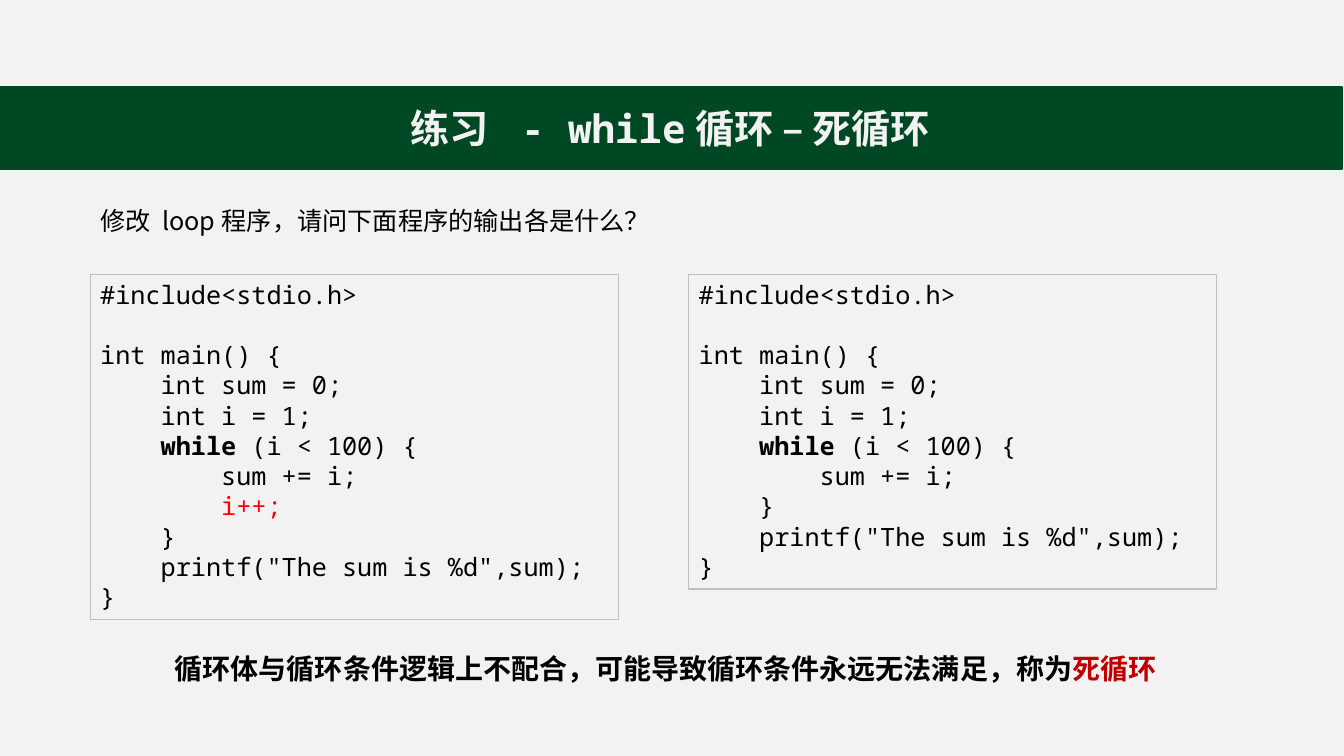
from dataclasses import dataclass

from lxml.etree import SubElement
from pptx import Presentation
from pptx.dml.color import RGBColor as RGB
from pptx.enum.shapes import MSO_SHAPE as Shape
from pptx.enum.text import MSO_ANCHOR as Anchor, MSO_AUTO_SIZE as AutoSize, PP_ALIGN as Align
from pptx.oxml.ns import qn
from pptx.util import Emu, Pt

PX = 9525


@dataclass(frozen=True)
class Theme:
    """Colours, fonts and type sizes of the slide."""
    paper: str = "F2F2F2"
    green: str = "004723"
    frame: str = "BFBFBF"
    ink: str = "000000"
    added: str = "FF0000"
    warning: str = "C00000"
    sans: str = "Noto Sans CJK SC"
    mono: str = "Noto Sans Mono"
    title: int = 28
    body: int = 18
    conclusion: int = 20


THEME = Theme()
CODE = dict(name=THEME.mono, size=THEME.body, color=THEME.ink)
TITLE = dict(name=THEME.mono, size=THEME.title, color=THEME.paper, bold=True)
QUESTION = dict(name=THEME.sans, size=THEME.body, color=THEME.ink)
CONCLUSION = dict(name=THEME.sans, size=THEME.conclusion, color=THEME.ink, bold=True)
HIGHLIGHTS = {"while": dict(bold=True), "i++;": dict(color=THEME.added)}

ENDLESS_LOOP = """#include<stdio.h>

int main() {
    int sum = 0;
    int i = 1;
    while (i < 100) {
        sum += i;
    }
    printf("The sum is %d",sum);
}"""
FINITE_LOOP = ENDLESS_LOOP.replace("sum += i;", "sum += i;\n        i++;")


def px(*lengths):
    """Turn pixel lengths into EMU."""
    return [Emu(length * PX) for length in lengths]


def add_run(paragraph, text, style):
    """Append a run formatted by a style dict."""
    run = paragraph.add_run()
    run.text = text
    values = dict(style, size=Pt(style["size"]))
    run.font.color.rgb = RGB.from_string(values.pop("color"))
    for attribute, value in values.items():
        setattr(run.font, attribute, value)
    SubElement(run.font._element, qn("a:ea"), typeface=style["name"])


def add_panel(slide, box, line, line_width, fill=None):
    """Add a rectangle without a shadow and return it."""
    panel = slide.shapes.add_shape(Shape.RECTANGLE, *px(*box))
    panel.shadow.inherit = False
    panel.line.color.rgb = RGB.from_string(line)
    panel.line.width = Pt(line_width)
    if fill:
        panel.fill.solid()
        panel.fill.fore_color.rgb = RGB.from_string(fill)
    else:
        panel.fill.background()
    return panel


def add_banner(slide, box, pieces):
    """Add the title banner across the slide."""
    frame = add_panel(slide, box, THEME.green, 1, THEME.green).text_frame
    frame.vertical_anchor = Anchor.MIDDLE
    heading = frame.paragraphs[0]
    heading.alignment = Align.CENTER
    for text, style in pieces:
        add_run(heading, text, style)


def add_code(slide, box, source):
    """Add a framed listing with its key tokens highlighted."""
    frame = add_panel(slide, box, THEME.frame, 0.75).text_frame
    layout = dict(word_wrap=True, vertical_anchor=Anchor.TOP,
                  auto_size=AutoSize.SHAPE_TO_FIT_TEXT)
    for attribute, value in layout.items():
        setattr(frame, attribute, value)
    for number, code_line in enumerate(source.split("\n")):
        paragraph = frame.add_paragraph() if number else frame.paragraphs[0]
        paragraph.alignment = Align.LEFT
        token = next((word for word in HIGHLIGHTS if word in code_line), None)
        pieces = code_line.partition(token) if token else [code_line]
        for piece in pieces:
            if piece or not code_line:
                add_run(paragraph, piece, CODE | HIGHLIGHTS.get(piece, {}))


def add_sentence(slide, box, pieces):
    """Add a one-line sentence made of styled pieces."""
    frame = slide.shapes.add_textbox(*px(*box)).text_frame
    frame.word_wrap = False
    frame.auto_size = AutoSize.SHAPE_TO_FIT_TEXT
    for text, style in pieces:
        add_run(frame.paragraphs[0], text, style)


def main():
    """Build the slide and save it."""
    deck = Presentation()
    deck.slide_width, deck.slide_height = px(1280, 720)
    slide = deck.slides.add_slide(deck.slide_layouts[6])
    slide.background.fill.solid()
    slide.background.fill.fore_color.rgb = RGB.from_string(THEME.paper)

    add_banner(slide, (-2, 83, 1280, 78), [
        ("练习 - while", TITLE),
        ("循环 – 死循环", TITLE | dict(name=THEME.sans)),
    ])
    add_code(slide, (86, 261, 503, 329), FINITE_LOOP)
    add_code(slide, (656, 261, 503, 300), ENDLESS_LOOP)
    add_sentence(slide, (86, 191, 534, 38), [
        ("修改 loop程序，请问下面程序的输出各是什么？", QUESTION),
    ])
    add_sentence(slide, (157, 616, 962, 42), [
        ("循环体与循环条件逻辑上不配合，可能导致循环条件永远无法满足，称为", CONCLUSION),
        ("死循环", CONCLUSION | dict(color=THEME.warning)),
    ])
    deck.save("out.pptx")


if __name__ == "__main__":
    main()
